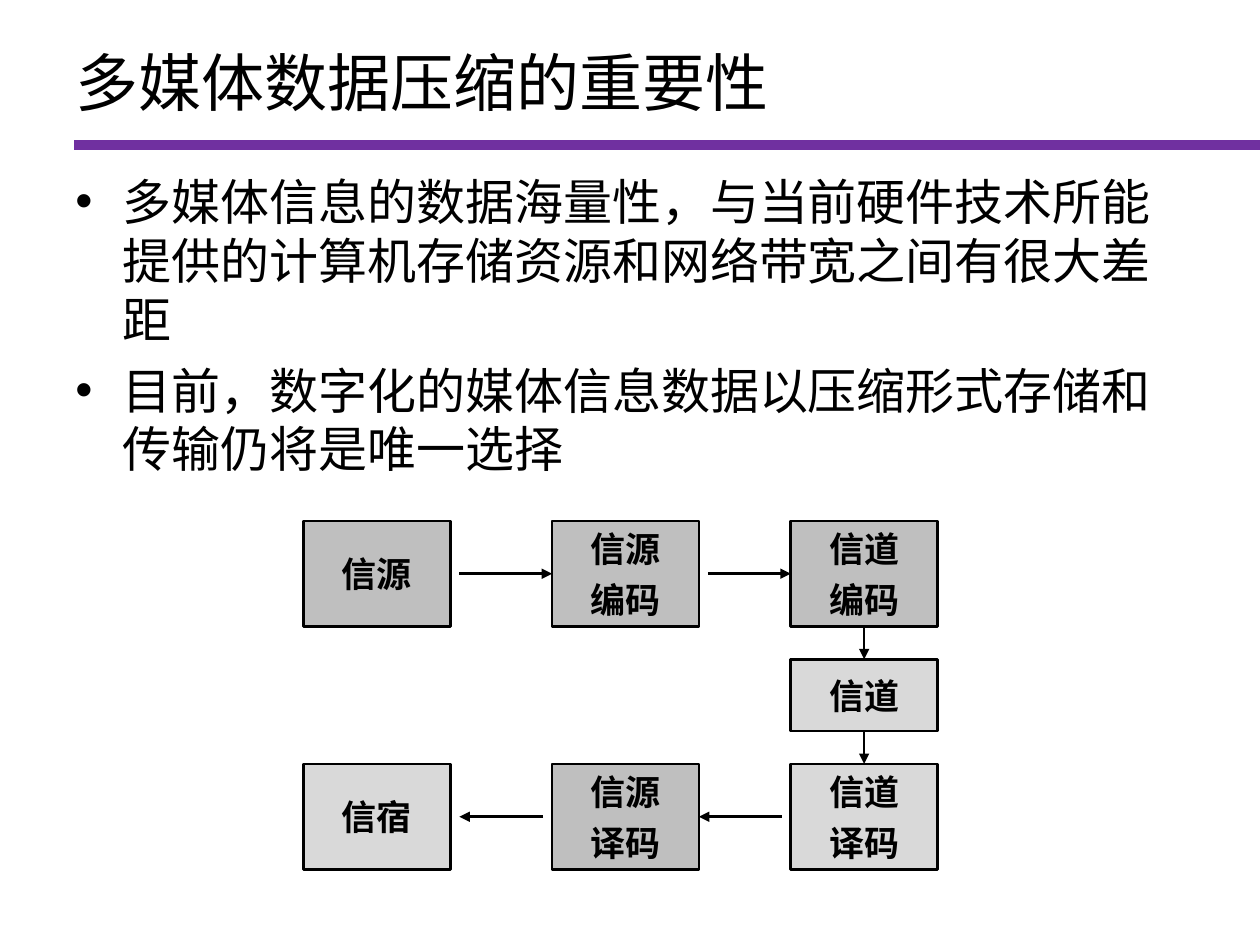
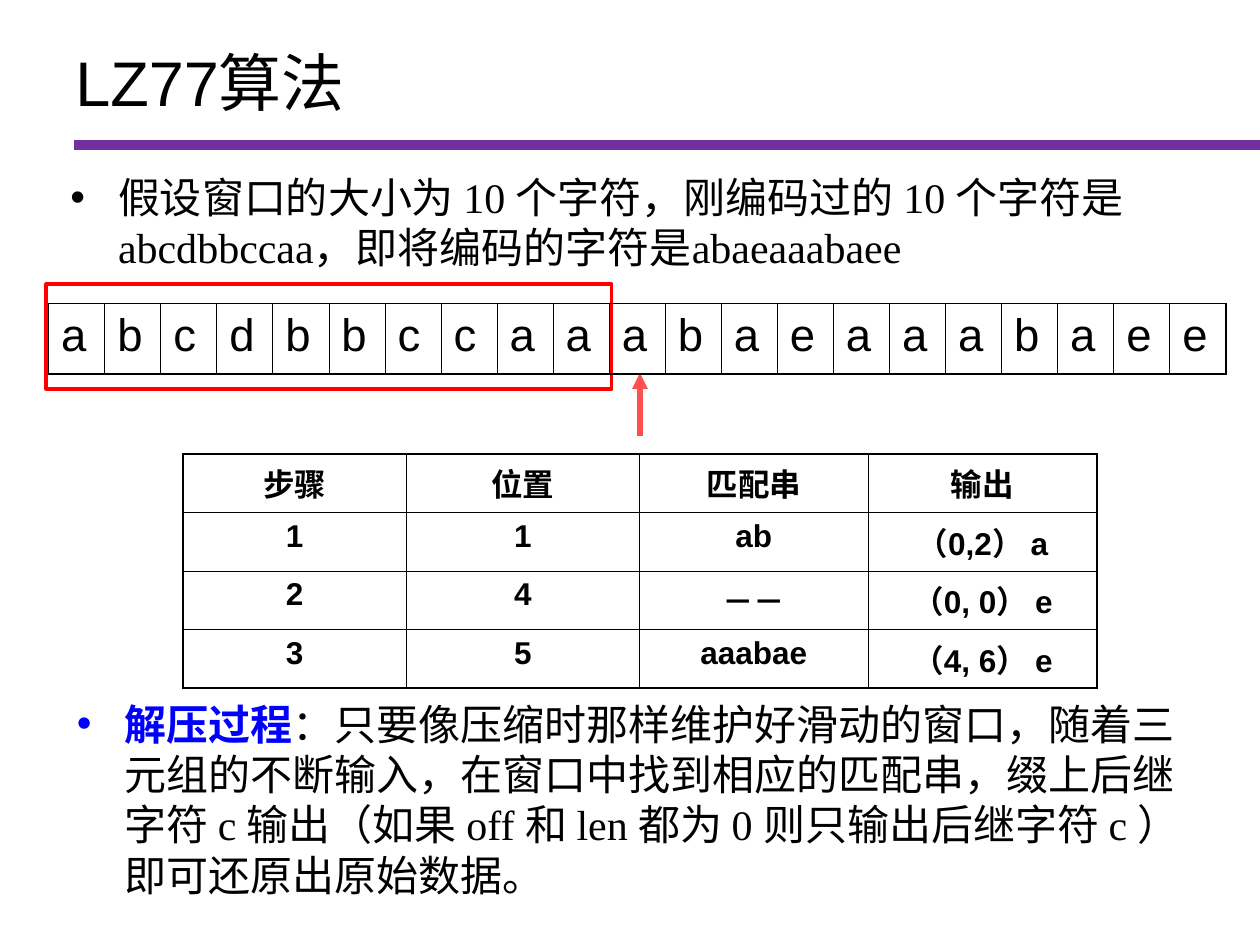
from dataclasses import dataclass

from lxml import etree
from pptx import Presentation
from pptx import util as u
from pptx.dml.color import RGBColor
from pptx.enum import shapes, text
from pptx.oxml import ns

Cm, Pt = u.Cm, u.Pt


@dataclass(frozen=True)
class Theme:
    ink: str = "000000"
    band: str = "7030A0"
    dark: str = "BFBFBF"
    light: str = "D9D9D9"
    lead: str = "0000FF"
    window: str = "FF0000"
    pointer: str = "FF5050"
    sans: str = "Arial"
    serif: str = "Times New Roman"
    cjk: str = "Noto Sans CJK SC"
    title: float = 36
    body: float = 28
    symbol: float = 26
    detail: float = 24
    block: float = 20
    cell: float = 18
    thick: float = 1.08
    thin: float = 0.45


T = Theme()

IMPORTANCE_TITLE = "多媒体数据压缩的重要性"
IMPORTANCE = [
    "多媒体信息的数据海量性，与当前硬件技术所能提供的计算机存储资源和网络带宽之间有很大差距",
    "目前，数字化的媒体信息数据以压缩形式存储和传输仍将是唯一选择",
]
STAGES = {
    "source": (["信源"], 0, 0, T.dark),
    "source_coder": (["信源", "编码"], 1, 0, T.dark),
    "channel_coder": (["信道", "编码"], 2, 0, T.dark),
    "channel": (["信道"], 2, 1, T.light),
    "channel_decoder": (["信道", "译码"], 2, 2, T.light),
    "source_decoder": (["信源", "译码"], 1, 2, T.dark),
    "sink": (["信宿"], 0, 2, T.light),
}
TOP, LEFT, BOTTOM, RIGHT = range(4)
FLOWS = [
    ("source", RIGHT, "source_coder", LEFT, True, False),
    ("source_coder", RIGHT, "channel_coder", LEFT, True, False),
    ("channel_coder", BOTTOM, "channel", TOP, False, False),
    ("channel", BOTTOM, "channel_decoder", TOP, False, False),
    ("channel_decoder", LEFT, "source_decoder", RIGHT, True, False),
    ("source_decoder", LEFT, "sink", RIGHT, True, True),
]
STAGE_LEFTS = [6.12, 11.13, 15.94]
STAGE_ROWS = [(10.5, 2.13), (13.29, 1.45), (15.4, 2.13)]
STAGE_WIDTH, FLOW_GAP = 2.96, 0.18

LZ77_TITLE = "LZ77算法"
ASSUMPTION = "假设窗口的大小为 10 个字符，刚编码过的 10 个字符是abcdbbccaa，即将编码的字符是abaeaaabaee"
SYMBOLS = "abcdbbccaa" + "abaeaaabaee"
STEPS = [
    ["步骤", "位置", "匹配串", "输出"],
    ["1", "1", "ab", "（0,2） a"],
    ["2", "4", "－－", "（0, 0） e"],
    ["3", "5", "aaabae", "（4, 6） e"],
]
STEP_WIDTHS = [4.5, 4.7, 4.61, 4.61]
DECODING = [
    ("解压过程", {"color": T.lead, "bold": True}),
    ("：只要像压缩时那样维护好滑动的窗口，随着三元组的不断输入，在窗口中找到相应的匹配串，"
     "缀上后继字符 c 输出（如果 off 和 len 都为 0 则只输出后继字符 c ）即可还原出原始数据。", {}),
]


def add_xml(parent, tag, **attributes):
    return etree.SubElement(parent, ns.qn(tag), **attributes)


def write(frame, paragraphs, size, font=T.sans, color=T.ink, bold=False,
          align=text.PP_ALIGN.LEFT, gap=0, bullet=None):
    frame.word_wrap = True
    for index, content in enumerate(paragraphs):
        paragraph = frame.paragraphs[0] if index == 0 else frame.add_paragraph()
        paragraph.alignment = align
        if bullet:
            properties = paragraph._p.get_or_add_pPr()
            properties.set("marL", str(Cm(0.96)))
            properties.set("indent", str(Cm(-0.96)))
            add_xml(add_xml(properties, "a:buClr"), "a:srgbClr", val=bullet)
            add_xml(properties, "a:buFont", typeface=T.sans)
            add_xml(properties, "a:buChar", char="•")
        if index:
            paragraph.space_before = Pt(gap)
        runs = [(content, {})] if isinstance(content, str) else content
        for words, style in runs:
            run = paragraph.add_run()
            run.text = words
            run.font.size = Pt(size)
            run.font.name = font
            run.font.bold = style.get("bold", bold)
            run.font.color.rgb = RGBColor.from_string(style.get("color", color))
            add_xml(run._r.get_or_add_rPr(), "a:ea", typeface=T.cjk)


def add_text(slide, box, paragraphs, **style):
    frame = slide.shapes.add_textbox(*map(Cm, box)).text_frame
    write(frame, paragraphs, **style)


def add_line(slide, start, end, color, width, arrow=False):
    line = slide.shapes.add_connector(
        shapes.MSO_CONNECTOR.STRAIGHT, *map(Cm, start + end))
    line.line.color.rgb = RGBColor.from_string(color)
    line.line.width = Pt(width)
    if arrow:
        add_xml(line.line._get_or_add_ln(), "a:tailEnd", type="triangle")
    add_xml(line._element.spPr, "a:effectLst")
    return line


def add_box(slide, box, color, width, fill=None):
    rectangle = slide.shapes.add_shape(shapes.MSO_SHAPE.RECTANGLE, *map(Cm, box))
    rectangle.shadow.inherit = False
    rectangle.line.color.rgb = RGBColor.from_string(color)
    rectangle.line.width = Pt(width)
    if fill:
        rectangle.fill.solid()
        rectangle.fill.fore_color.rgb = RGBColor.from_string(fill)
    else:
        rectangle.fill.background()
    return rectangle


def set_borders(cell, outer):
    properties = cell._tc.get_or_add_tcPr()
    for side in ("L", "R", "T", "B"):
        width = T.thick if side in outer else T.thin
        border = add_xml(properties, "a:ln" + side, w=str(Pt(width)))
        add_xml(add_xml(border, "a:solidFill"), "a:srgbClr", val=T.ink)
    cell.fill.background()


def add_grid(slide, left, top, widths, height, rows, **style):
    table = slide.shapes.add_table(
        len(rows), len(widths), Cm(left), Cm(top),
        Cm(sum(widths)), Cm(height * len(rows))).table
    table.first_row = table.horz_banding = False
    for column, width in zip(table.columns, widths):
        column.width = Cm(width)
    for r, values in enumerate(rows):
        table.rows[r].height = Cm(height)
        for c, value in enumerate(values):
            edges = {"T": r == 0, "B": r == len(rows) - 1,
                     "L": c == 0, "R": c == len(widths) - 1}
            cell = table.cell(r, c)
            set_borders(cell, [side for side, outer in edges.items() if outer])
            write(cell.text_frame, [value], **style)


def add_slide(deck, title):
    slide = deck.slides.add_slide(deck.slide_layouts[6])
    add_line(slide, (1.5, 2.92), (25.4, 2.92), T.band, 6)
    add_text(slide, (1.27, 0.76, 22.86, 2.16), [title], size=T.title)
    return slide


def side_point(stage, side, gap):
    _, column, row, _ = STAGES[stage]
    left, (top, height) = STAGE_LEFTS[column], STAGE_ROWS[row]
    return {
        TOP: (left + STAGE_WIDTH / 2, top - gap),
        LEFT: (left - gap, top + height / 2),
        BOTTOM: (left + STAGE_WIDTH / 2, top + height + gap),
        RIGHT: (left + STAGE_WIDTH + gap, top + height / 2),
    }[side]


def build_importance(deck):
    slide = add_slide(deck, IMPORTANCE_TITLE)
    add_text(slide, (1.27, 3.33, 22.86, 6.6), IMPORTANCE,
             size=T.body, font=T.cjk, gap=7, bullet=T.ink)
    blocks = {}
    for stage, (lines, column, row, fill) in STAGES.items():
        top, height = STAGE_ROWS[row]
        block = add_box(slide, (STAGE_LEFTS[column], top, STAGE_WIDTH, height),
                        T.ink, 1.5, fill)
        block.text_frame.vertical_anchor = text.MSO_ANCHOR.MIDDLE
        write(block.text_frame, lines, size=T.block, font=T.cjk, bold=True,
              align=text.PP_ALIGN.CENTER, gap=5)
        blocks[stage] = block
    for origin, exit_side, target, entry_side, gap_before, gap_after in FLOWS:
        flow = add_line(slide, side_point(origin, exit_side, FLOW_GAP * gap_before),
                        side_point(target, entry_side, FLOW_GAP * gap_after),
                        T.ink, 1.5, arrow=True)
        if not gap_before:
            flow.begin_connect(blocks[origin], exit_side)
        if not gap_after:
            flow.end_connect(blocks[target], entry_side)


def build_lz77(deck):
    slide = add_slide(deck, LZ77_TITLE)
    add_text(slide, (1.17, 3.33, 23.72, 2.59), [ASSUMPTION],
             size=T.detail, font=T.serif, bullet=T.ink)
    add_box(slide, (0.93, 5.73, 11.4, 2.11), T.window, 2)
    add_line(slide, (12.9, 8.79), (12.9, 7.52), T.pointer, 3, arrow=True)
    add_grid(slide, 3.69, 9.15, STEP_WIDTHS, 1.18, STEPS,
             size=T.cell, bold=True, align=text.PP_ALIGN.CENTER)
    add_grid(slide, 0.98, 6.12, [23.73 / len(SYMBOLS)] * len(SYMBOLS), 1.42,
             [SYMBOLS], size=T.symbol)
    add_text(slide, (1.3, 13.95, 22.86, 4.39), [DECODING],
             size=T.detail, font=T.serif, bullet=T.lead)


def main():
    deck = Presentation()
    deck.slide_width, deck.slide_height = Cm(25.4), Cm(19.05)
    build_importance(deck)
    build_lz77(deck)
    deck.save("out.pptx")


if __name__ == "__main__":
    main()
